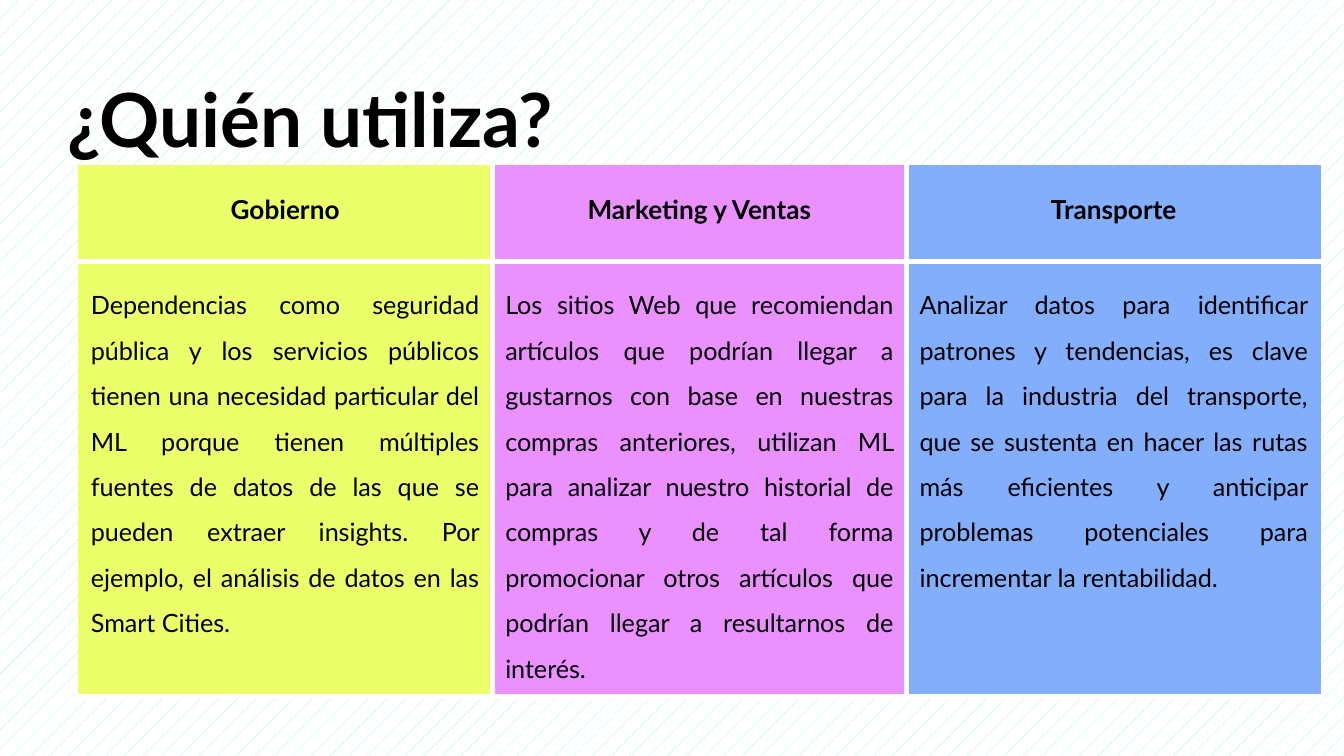
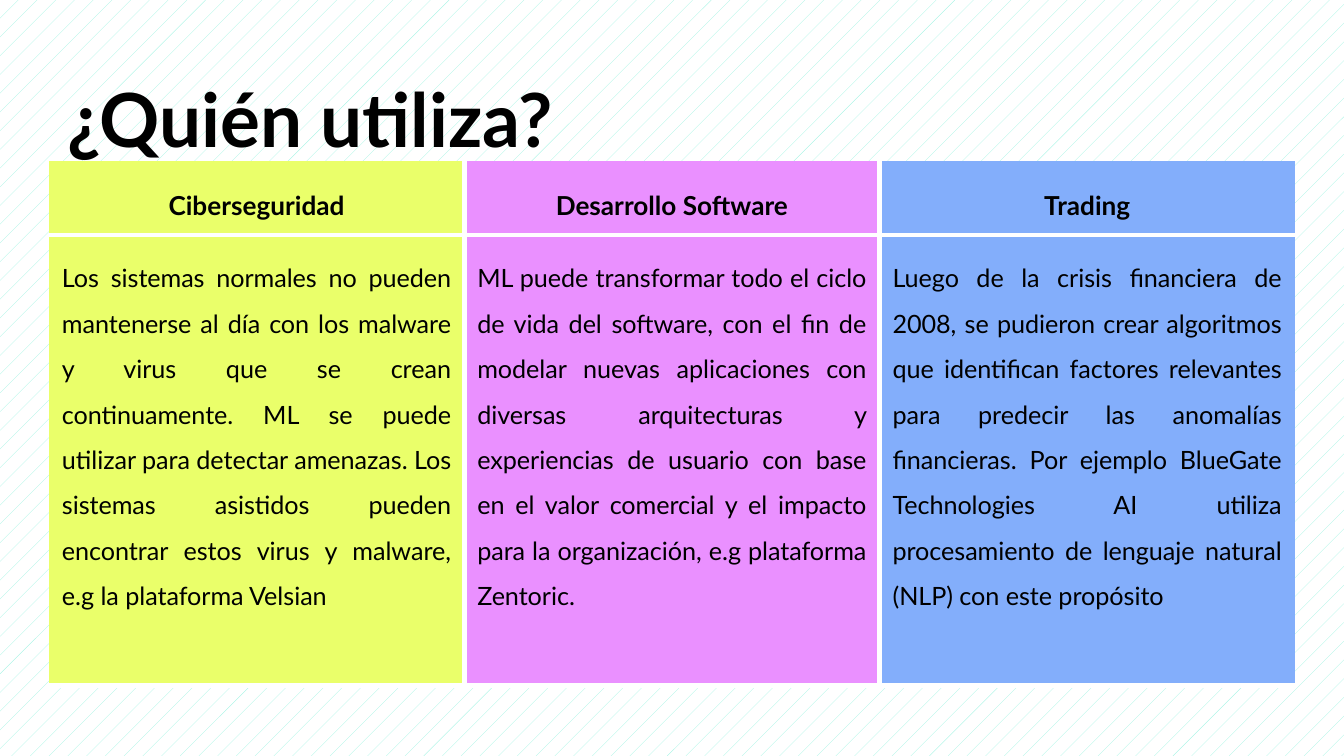
import pptx
import pptx.dml.color
import pptx.enum.dml
import pptx.enum.text
import pptx.oxml.ns
import pptx.util
import lxml.etree

PAGE_WIDTH, PAGE_HEIGHT = 1344, 756
EMU_PER_PX = 9144000 / PAGE_WIDTH
FONT = "Lato"
BLACK, WHITE, MINT = "000000", "FFFFFF", "9DF4E2"
COLUMN_COLORS = ["EAFF6A", "EA90FF", "83AEFB"]
BORDER_POINTS = 3
MARGIN = 13
TITLE = "¿Quién utiliza?"
TITLE_BOX = (55, 70, 914, 189)
ALIGN = pptx.enum.text.PP_ALIGN

PAGES = [
    {
        "box": (78, 165, 1243),
        "row_heights": (97, 430),
        "rows": [
            ["Gobierno", "Marketing y Ventas", "Transporte"],
            [
                "Dependencias como seguridad pública y los servicios públicos tienen una "
                "necesidad particular del ML porque tienen múltiples fuentes de datos de las "
                "que se pueden extraer insights. Por ejemplo, el análisis de datos en las "
                "Smart Cities.",
                "Los sitios Web que recomiendan artículos que podrían llegar a gustarnos con "
                "base en nuestras compras anteriores, utilizan ML para analizar nuestro "
                "historial de compras y de tal forma promocionar otros artículos que podrían "
                "llegar a resultarnos de interés.",
                "Analizar datos para identificar patrones y tendencias, es clave para la "
                "industria del transporte, que se sustenta en hacer las rutas más eficientes "
                "y anticipar problemas potenciales para incrementar la rentabilidad.",
            ],
        ],
    },
    {
        "box": (49, 161, 1246),
        "row_heights": (74, 451),
        "rows": [
            ["Ciberseguridad", "Desarrollo Software", "Trading"],
            [
                "Los sistemas normales no pueden mantenerse al día con los malware y virus "
                "que se crean continuamente. ML se puede utilizar para detectar amenazas. "
                "Los sistemas asistidos pueden encontrar estos virus y malware, e.g la "
                "plataforma Velsian",
                "ML puede transformar todo el ciclo de vida del software, con el fin de "
                "modelar nuevas aplicaciones con diversas arquitecturas y experiencias de "
                "usuario con base en el valor comercial y el impacto para la organización, "
                "e.g plataforma Zentoric.",
                "Luego de la crisis financiera de 2008, se pudieron crear algoritmos que "
                "identifican factores relevantes para predecir las anomalías financieras. "
                "Por ejemplo BlueGate Technologies AI utiliza procesamiento de lenguaje "
                "natural (NLP) con este propósito",
            ],
        ],
    },
]


def px(length):
    """Turn a length in px into EMU."""
    return pptx.util.Emu(round(length * EMU_PER_PX))


def color(value):
    """Turn a hex string into a colour."""
    return pptx.dml.color.RGBColor.from_string(value)


def write(para, text, size, bold, align, spacing):
    """Add one styled run to a paragraph."""
    para.alignment = align
    para.line_spacing = spacing
    span = para.add_run()
    span.text = text
    span.font.name = FONT
    span.font.size = pptx.util.Pt(size)
    span.font.bold = bold
    span.font.color.rgb = color(BLACK)


def set_margins(target):
    """Give a cell or text frame the shared inner margin."""
    target.margin_left = target.margin_right = px(MARGIN)
    target.margin_top = target.margin_bottom = px(MARGIN)


def set_borders(cell, sides):
    """Draw white borders on the given sides and clear the others."""
    properties = cell._tc.get_or_add_tcPr()
    for side in "LRTB":
        line = lxml.etree.SubElement(properties, pptx.oxml.ns.qn(f"a:ln{side}"))
        if side in sides:
            line.set("w", str(pptx.util.Pt(BORDER_POINTS)))
            fill = lxml.etree.SubElement(line, pptx.oxml.ns.qn("a:solidFill"))
            lxml.etree.SubElement(fill, pptx.oxml.ns.qn("a:srgbClr")).set("val", WHITE)
        else:
            lxml.etree.SubElement(line, pptx.oxml.ns.qn("a:noFill"))


def add_background(page):
    """Fill the page with the mint pattern."""
    fill = page.background.fill
    fill.patterned()
    fill.pattern = pptx.enum.dml.MSO_PATTERN.PERCENT_5
    fill.fore_color.rgb = color(MINT)
    fill.back_color.rgb = color(WHITE)


def add_title(page, box):
    """Place the page title in its box."""
    frame = page.shapes.add_textbox(*map(px, box)).text_frame
    frame.word_wrap = True
    frame.auto_size = pptx.enum.text.MSO_AUTO_SIZE.SHAPE_TO_FIT_TEXT
    set_margins(frame)
    write(frame.paragraphs[0], TITLE, 40, True, ALIGN.LEFT, 0.9)


def add_users_table(page, box, row_heights, rows):
    """Place the table of users, one colour per column."""
    left, top, width = box
    column_count = len(COLUMN_COLORS)
    table = page.shapes.add_table(
        len(rows), column_count, px(left), px(top), px(width), px(sum(row_heights))
    ).table
    table.first_row = table.horz_banding = False
    for row_index, texts in enumerate(rows):
        table.rows[row_index].height = px(row_heights[row_index])
        header = row_index == 0
        for column_index, text in enumerate(texts):
            cell = table.cell(row_index, column_index)
            sides = "B" if header else "TB"
            sides += "L" if column_index > 0 else ""
            sides += "R" if column_index < column_count - 1 else ""
            set_borders(cell, sides)
            set_margins(cell)
            cell.fill.solid()
            cell.fill.fore_color.rgb = color(COLUMN_COLORS[column_index])
            size, align = (14, ALIGN.CENTER) if header else (13.5, ALIGN.JUSTIFY)
            write(cell.text_frame.paragraphs[0], text, size, header, align, 1.5)


def add_users_page(deck, content):
    """Add one page with its background, table and title."""
    page = deck.slides.add_slide(deck.slide_layouts[6])
    add_background(page)
    add_users_table(page, **content)
    add_title(page, TITLE_BOX)


def main():
    """Build the deck and save it."""
    deck = pptx.Presentation()
    deck.slide_width, deck.slide_height = px(PAGE_WIDTH), px(PAGE_HEIGHT)
    for content in PAGES:
        add_users_page(deck, content)
    deck.save("out.pptx")


if __name__ == "__main__":
    main()
